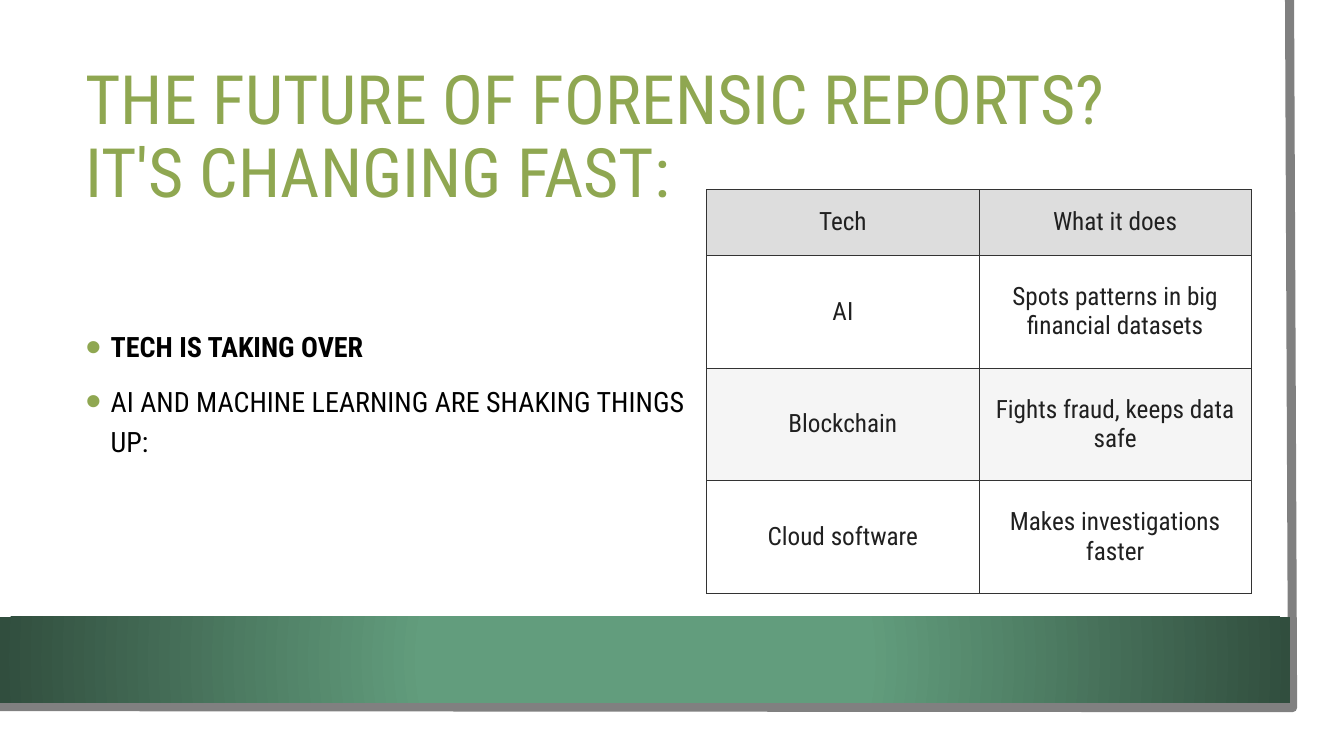
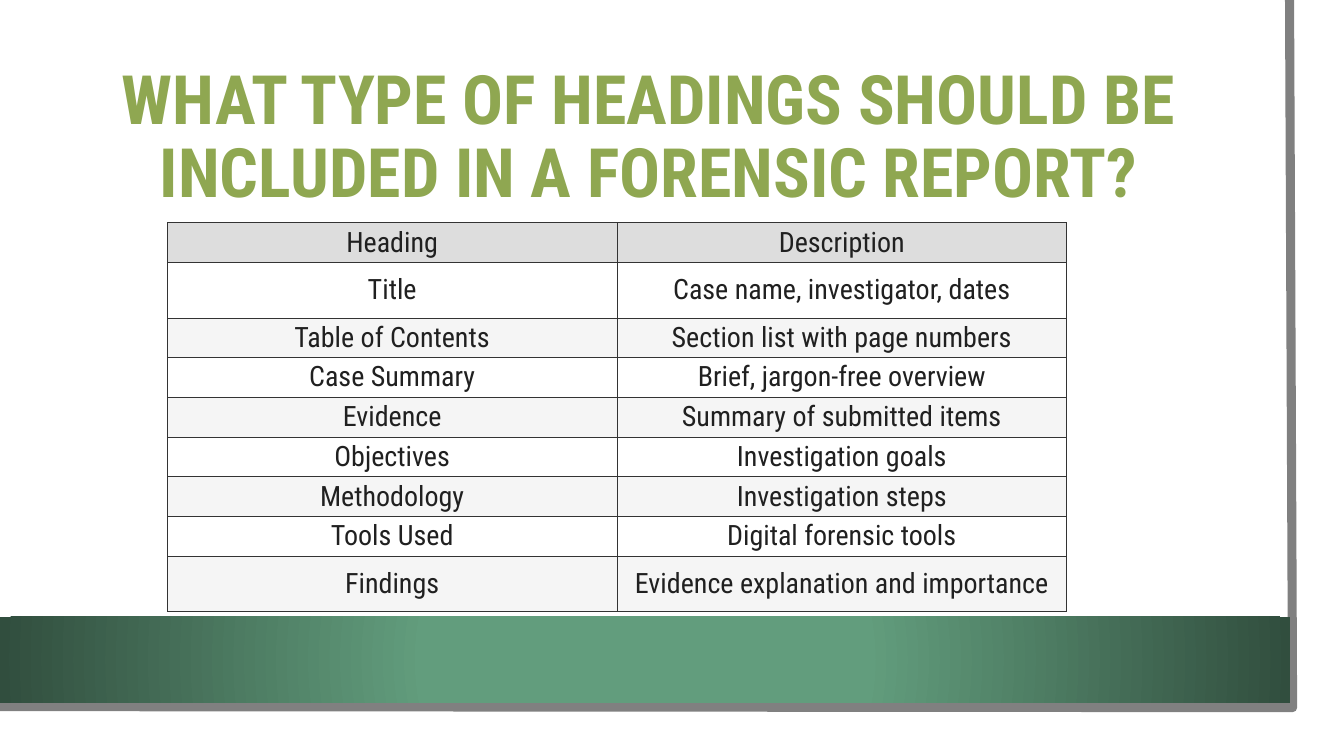
from lxml import etree
from pptx import Presentation
from pptx.dml.color import RGBColor
from pptx.enum.shapes import MSO_SHAPE
from pptx.enum.text import MSO_ANCHOR, PP_ALIGN
from pptx.oxml import parse_xml
from pptx.oxml.ns import nsdecls, qn
from pptx.util import Inches, Pt

FONT = "Roboto Condensed"
COLORS = {
    "accent": "8FA751",
    "frame": "808080",
    "band_center": "629D7D",
    "band_edge": "314E3E",
    "body": "000000",
    "cell_text": "202020",
    "cell_border": "333333",
    "header_row": "DDDDDD",
    "odd_row": "FFFFFF",
    "even_row": "F5F5F5",
}
TITLE_BOX = (0.75, 0.75, 11.37, 1.26)
BAND_BOX = (0, 6.12, 12.8, 0.85)
FRAME_POINTS = [(12.79, 0), (12.82, 7.02), (-0.03, 7.01)]

TECH_ROWS = [
    ("Tech", "What it does"),
    ("AI", "Spots patterns in big financial datasets"),
    ("Blockchain", "Fights fraud, keeps data safe"),
    ("Cloud software", "Makes investigations faster"),
]
HEADING_ROWS = [
    ("Heading", "Description"),
    ("Title", "Case name, investigator, dates"),
    ("Table of Contents", "Section list with page numbers"),
    ("Case Summary", "Brief, jargon-free overview"),
    ("Evidence", "Summary of submitted items"),
    ("Objectives", "Investigation goals"),
    ("Methodology", "Investigation steps"),
    ("Tools Used", "Digital forensic tools"),
    ("Findings", "Evidence explanation and importance"),
]


def color(name):
    return RGBColor.from_string(COLORS[name])


def add_run(paragraph, text, size, color_name, bold=False):
    run = paragraph.add_run()
    run.text = text
    run.font.name = FONT
    run.font.size = Pt(size)
    run.font.bold = bold
    run.font.color.rgb = color(color_name)


def add_text_frame(slide, box):
    text_frame = slide.shapes.add_textbox(*map(Inches, box)).text_frame
    text_frame.word_wrap = True
    text_frame.vertical_anchor = MSO_ANCHOR.MIDDLE
    return text_frame


def add_frame(slide, points):
    """Draw the open grey edge along the right and bottom of the page."""
    start, *corners = [(Inches(x), Inches(y)) for x, y in points]
    builder = slide.shapes.build_freeform(*start)
    builder.add_line_segments(corners, close=False)
    frame = builder.convert_to_shape()
    frame.shadow.inherit = False
    frame.fill.background()
    frame.line.color.rgb = color("frame")
    frame.line.width = Pt(6.5)


def add_band(slide, box):
    """Draw the green band, shaded from its middle outwards."""
    band = slide.shapes.add_shape(MSO_SHAPE.RECTANGLE, *map(Inches, box))
    band.shadow.inherit = False
    band.line.fill.background()
    band.fill.gradient()
    stops = zip(band.fill.gradient_stops, ("band_center", "band_edge"), (0.34, 1))
    for stop, color_name, position in stops:
        stop.color.rgb = color(color_name)
        stop.position = position
    gradient = band.fill._xPr.find(qn("a:gradFill"))
    linear = gradient.find(qn("a:lin"))
    gradient.replace(linear, parse_xml(
        f'<a:path {nsdecls("a")} path="circle">'
        '<a:fillToRect l="50000" t="50000" r="50000" b="50000"/></a:path>'))


def add_title(slide, box, text, alignment, bold):
    paragraph = add_text_frame(slide, box).paragraphs[0]
    paragraph.alignment = alignment
    paragraph.line_spacing = 0.9
    add_run(paragraph, text, 48.6, "accent", bold)


def add_base_slide(presentation, title, alignment=PP_ALIGN.LEFT, bold=False):
    slide = presentation.slides.add_slide(presentation.slide_layouts[6])
    add_frame(slide, FRAME_POINTS)
    add_band(slide, BAND_BOX)
    add_title(slide, TITLE_BOX, title, alignment, bold)
    return slide


def set_bullet(paragraph):
    properties = paragraph._p.get_or_add_pPr()
    properties.set("marL", str(Inches(0.25)))
    properties.set("indent", str(-Inches(0.25)))
    bullet_color = etree.SubElement(properties, qn("a:buClr"))
    etree.SubElement(bullet_color, qn("a:srgbClr"), val=COLORS["accent"])
    etree.SubElement(properties, qn("a:buSzPct"), val="160000")
    etree.SubElement(properties, qn("a:buFont"), typeface="Arial")
    etree.SubElement(properties, qn("a:buChar"), char="•")


def add_bullets(slide, box, items):
    text_frame = add_text_frame(slide, box)
    for index, (text, bold) in enumerate(items):
        paragraph = text_frame.add_paragraph() if index else text_frame.paragraphs[0]
        set_bullet(paragraph)
        paragraph.line_spacing = 1.2
        paragraph.space_before = Pt(10 if index else 0)
        add_run(paragraph, text, 20, "body", bold)


def set_borders(cell):
    properties = cell._tc.get_or_add_tcPr()
    for index, side in enumerate(("lnL", "lnR", "lnT", "lnB")):
        properties.insert(index, parse_xml(
            f'<a:{side} {nsdecls("a")} w="{Pt(0.5)}"><a:solidFill>'
            f'<a:srgbClr val="{COLORS["cell_border"]}"/></a:solidFill></a:{side}>'))


def fill_cell(cell, text, size, inset, fill_name):
    cell.margin_left = cell.margin_right = Inches(inset)
    cell.margin_top = cell.margin_bottom = Inches(inset)
    cell.vertical_anchor = MSO_ANCHOR.MIDDLE
    cell.fill.solid()
    cell.fill.fore_color.rgb = color(fill_name)
    set_borders(cell)
    paragraph = cell.text_frame.paragraphs[0]
    paragraph.alignment = PP_ALIGN.CENTER
    add_run(paragraph, text, size, "cell_text")


def add_two_column_table(slide, left, top, width, rows, heights, size, inset):
    table = slide.shapes.add_table(
        len(rows), 2, Inches(left), Inches(top), Inches(width), Inches(sum(heights))).table
    for column in table.columns:
        column.width = Inches(width / 2)
    for index, (texts, height) in enumerate(zip(rows, heights)):
        table.rows[index].height = Inches(height)
        fill_name = ("even_row", "odd_row")[index % 2] if index else "header_row"
        for cell, text in zip(table.rows[index].cells, texts):
            fill_cell(cell, text, size, inset, fill_name)


def build_future_slide(presentation):
    slide = add_base_slide(
        presentation, "THE FUTURE OF FORENSIC REPORTS? IT'S CHANGING FAST:")
    add_bullets(slide, (0.75, 2.26, 6.14, 3.23), [
        ("TECH IS TAKING OVER", True),
        ("AI AND MACHINE LEARNING ARE SHAKING THINGS UP:", False),
    ])
    add_two_column_table(slide, 7.01, 1.88, 5.4, TECH_ROWS,
                         [0.65] + [1.12] * 3, size=18, inset=0.06)


def build_headings_slide(presentation):
    slide = add_base_slide(
        presentation, "WHAT TYPE OF HEADINGS SHOULD BE INCLUDED IN A FORENSIC REPORT?",
        PP_ALIGN.CENTER, bold=True)
    add_two_column_table(slide, 1.66, 2.21, 8.92, HEADING_ROWS,
                         [0.38, 0.55] + [0.38] * 6 + [0.55], size=20, inset=0.03)


def main():
    presentation = Presentation()
    presentation.slide_width = Inches(13.33)
    presentation.slide_height = Inches(7.5)
    build_future_slide(presentation)
    build_headings_slide(presentation)
    presentation.save("out.pptx")


if __name__ == "__main__":
    main()
